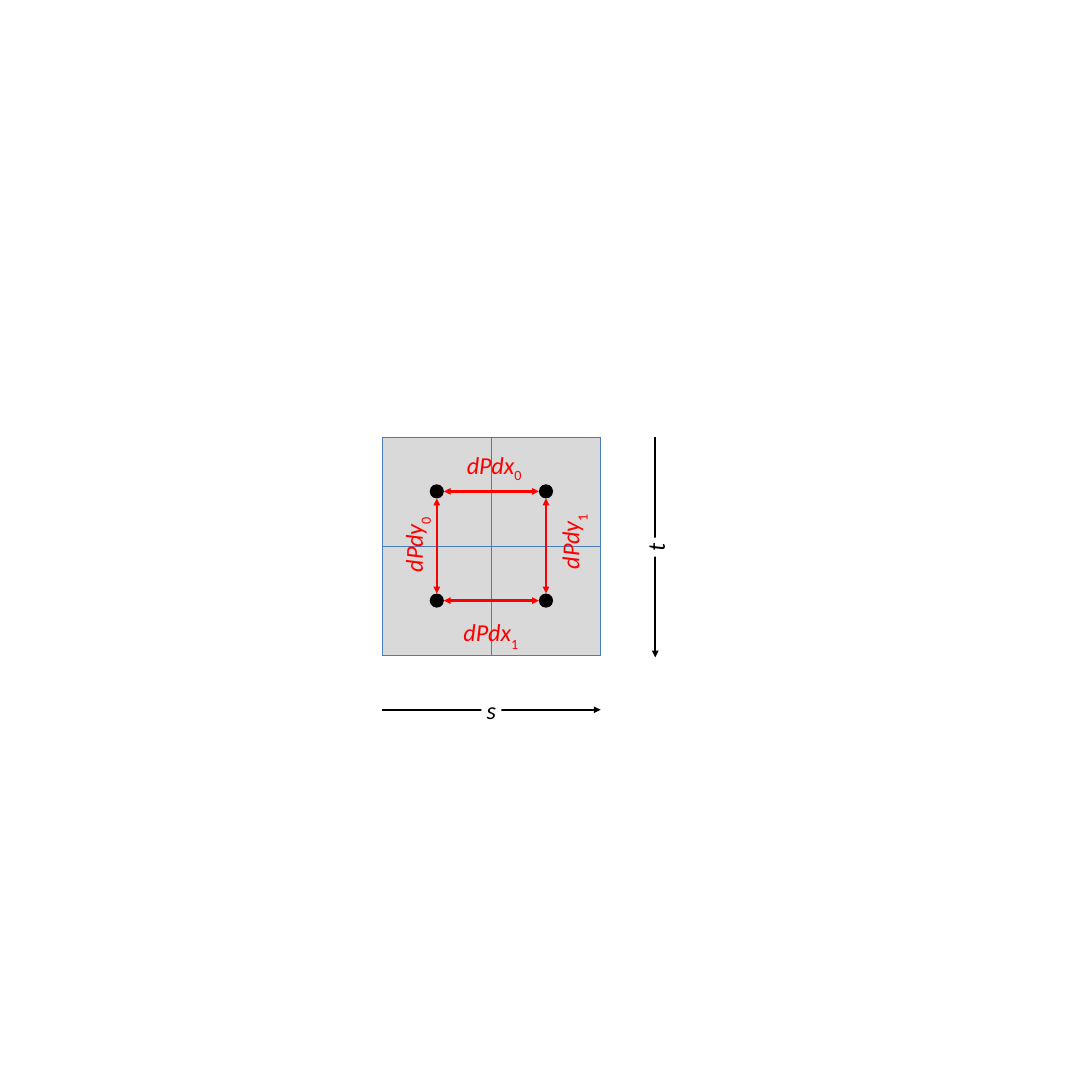
from pptx import Presentation, util as u
from pptx.dml.color import RGBColor
from pptx.enum import shapes, text
from pptx.oxml import xmlchemy as x

COLORS = {"ink": "000000", "paper": "FFFFFF", "pixel": "D9D9D9",
          "grid": "4A7EBB", "delta": "FF0000"}
COLS = 20
LEFT, TOP, QUAD = 7, 8, 4
MID = QUAD / 2
NEAR, FAR = QUAD / 4, QUAD * 3 / 4
DOT = 0.26
FONT = {"name": "Calibri", "size": u.Pt(32)}


def rgb(name):
    return RGBColor.from_string(COLORS[name])


def cells(*values):
    return [u.Inches(v) for v in values]


def add_solid(s, kind, x0, y0, w, h, color):
    sp = s.shapes.add_shape(kind, *cells(x0, y0, w, h))
    sp.shadow.inherit = False
    sp.fill.solid()
    sp.fill.fore_color.rgb = rgb(color)
    sp.line.fill.background()


def add_line(s, x0, y0, x1, y1, color, width, ends=()):
    sp = s.shapes.add_connector(shapes.MSO_CONNECTOR.STRAIGHT, *cells(x0, y0, x1, y1))
    sp.line.color.rgb = rgb(color)
    sp.line.width = u.Pt(width)
    ln = sp.line._get_or_add_ln()
    for end in ends:
        ln.append(x.OxmlElement(f"a:{end}"))
        ln[-1].set("type", "triangle")
    sp._element.spPr.append(x.OxmlElement("a:effectLst"))


def add_label(s, cx, cy, w, h, words, color, sub="", drop=-33, turn=0, fill=None):
    sp = s.shapes.add_textbox(*cells(cx - w / 2, cy - h / 2, w, h))
    sp.rotation = turn
    if fill:
        sp.fill.solid()
        sp.fill.fore_color.rgb = rgb(fill)
    tf = sp.text_frame
    tf.word_wrap = False
    p = tf.paragraphs[0]
    p.alignment = text.PP_ALIGN.CENTER
    for part, italic in ((words, True), (sub, False)):
        if not part:
            continue
        r = p.add_run()
        r.text = part
        for key, value in {**FONT, "italic": italic}.items():
            setattr(r.font, key, value)
        r.font.color.rgb = rgb(color)
        if not italic:
            r.font._element.set("baseline", str(drop * 1000))


def add_axes(s):
    right, bottom = LEFT + QUAD, TOP + QUAD
    add_line(s, LEFT, bottom + 1, right, bottom + 1, "ink", 3, ["tailEnd"])
    add_label(s, LEFT + MID, bottom + 1, 0.37, 0.63, "s", "ink", fill="paper")
    add_line(s, right + 1, TOP, right + 1, bottom + 0.04, "ink", 3, ["tailEnd"])
    add_label(s, right + 1, TOP + MID + 0.02, 0.35, 0.63, "t", "ink", turn=270, fill="paper")


def add_quad(s):
    add_solid(s, shapes.MSO_SHAPE.RECTANGLE, LEFT, TOP, QUAD, QUAD, "pixel")
    for step in (0, MID, QUAD):
        add_line(s, LEFT, TOP + step, LEFT + QUAD, TOP + step, "grid", 0.75)
        add_line(s, LEFT + step, TOP, LEFT + step, TOP + QUAD, "grid", 0.75)
    for dx in (NEAR, FAR):
        for dy in (NEAR, FAR):
            add_solid(s, shapes.MSO_SHAPE.OVAL, LEFT + dx - DOT / 2,
                      TOP + dy - DOT / 2, DOT, DOT, "ink")


def add_deltas(s):
    ends = ["headEnd", "tailEnd"]
    start, stop = NEAR + DOT / 2, FAR - DOT / 2
    for step in (NEAR, FAR):
        add_line(s, LEFT + step, TOP + start, LEFT + step, TOP + stop, "delta", 3, ends)
        add_line(s, LEFT + start, TOP + step, LEFT + stop, TOP + step, "delta", 3, ends)
    for cx, cy, words, sub, drop, turn in (
            (9.05, 8.54, "dPdx", "0", -25, 0),
            (8.99, 11.6, "dPdx", "1", -33, 0),
            (7.6, 9.98, "dPdy", "0", -33, 270),
            (10.47, 9.92, "dPdy", "1", -33, 270)):
        add_label(s, cx, cy, 1.5, 0.7, words, "delta", sub, drop, turn)


def main():
    prs = Presentation()
    prs.slide_width = prs.slide_height = u.Inches(COLS)
    s = prs.slides.add_slide(prs.slide_layouts[6])
    add_axes(s)
    add_quad(s)
    add_deltas(s)
    prs.save("out.pptx")


if __name__ == "__main__":
    main()
